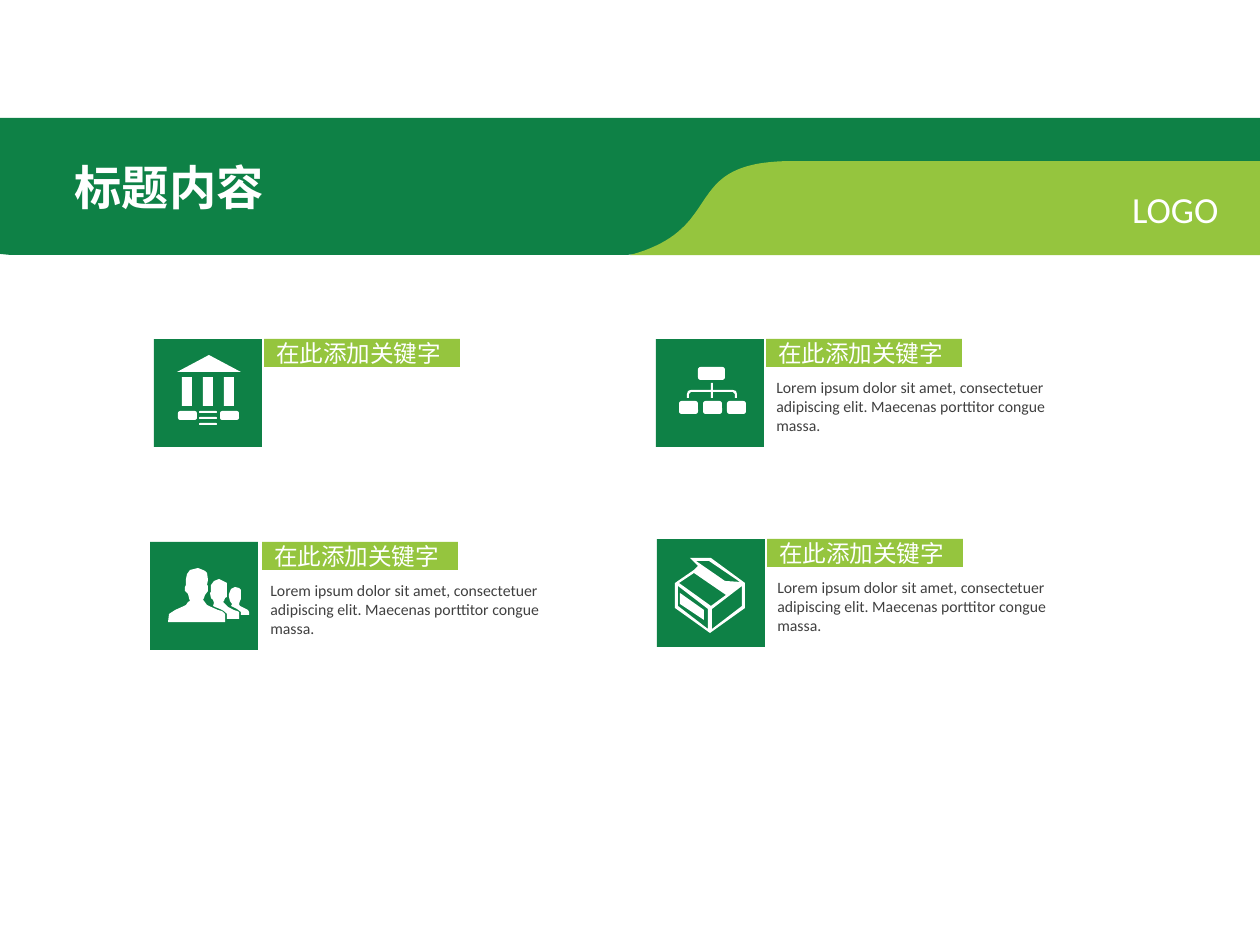
from pptx import Presentation
from pptx.dml.color import RGBColor
from pptx.enum.shapes import MSO_SHAPE as SHAPE
from pptx.enum.text import MSO_ANCHOR as ANCHOR, MSO_AUTO_SIZE as FIT, PP_ALIGN as ALIGN
from pptx.util import Pt

PX = 914400 / 126
FINE = 10
GREEN, LIME, WHITE, GREY = "0E8146", "95C53E", "FFFFFF", "404040"
KEYWORD = "在此添加关键字"
BLURB = ("Lorem ipsum dolor sit amet, consectetuer adipiscing elit. "
         "Maecenas porttitor congue massa.")
TILE = 108

PEOPLE = [
    [(218, 610), (209, 606), (207, 605), (204, 601), (203, 600), (204, 598),
     (205, 595), (208, 591), (208, 586), (207, 585), (208, 580), (207, 573),
     (205, 571), (203, 570), (198, 568), (190, 570), (187, 574), (186, 579),
     (186, 585), (185, 587), (185, 591), (188, 594), (189, 598), (190, 601),
     (188, 602), (186, 605), (184, 606), (175, 610), (169, 614), (168, 622),
     (225, 622), (225, 614), (222, 611)],
    [(234, 610), (228, 607), (227, 606), (224, 603), (223, 602), (224, 601),
     (225, 598), (227, 597), (227, 583), (225, 582), (223, 581), (219, 579),
     (214, 581), (211, 585), (211, 592), (210, 593), (211, 598), (213, 600),
     (214, 603), (213, 606), (215, 607), (220, 609), (224, 611), (227, 614),
     (227, 619), (239, 619), (239, 612), (237, 611)],
    [(248, 610), (246, 609), (242, 607), (240, 606), (239, 604), (240, 601),
     (241, 599), (241, 590), (239, 588), (235, 587), (231, 589), (229, 594),
     (229, 597), (230, 601), (232, 604), (231, 606), (233, 607), (237, 609),
     (241, 612), (241, 615), (249, 615), (249, 612)],
]
BOX = [
    [(745, 583), (711, 558), (690, 558), (698, 566), (694, 570), (675, 583),
     (675, 608), (710, 633), (745, 608)],
    [(696, 561), (709, 561), (740, 582), (725, 581)],
    [(708, 629), (678, 606), (678, 586), (708, 609)],
    [(711, 606), (679, 583), (694, 573), (726, 595)],
    [(742, 606), (712, 629), (712, 609), (742, 586)],
    [(704, 610), (680, 593), (680, 604), (704, 620)],
]


def emu(*lengths):
    return [round(length * PX) for length in lengths]


def color(value):
    return RGBColor.from_string(value)


def paint(shape, fill):
    shape.shadow.inherit = False
    shape.fill.solid()
    shape.fill.fore_color.rgb = color(fill)
    shape.line.fill.background()
    return shape


def add_block(shapes, place, fill, kind=SHAPE.RECTANGLE, rounding=None):
    block = paint(shapes.add_shape(kind, *emu(*place)), fill)
    if rounding is not None:
        block.adjustments[0] = rounding
    return block


def add_outline(shapes, contours, fill):
    contours = [[(x * FINE, y * FINE) for x, y in contour] for contour in contours]
    pen = shapes.build_freeform(*contours[0][0], scale=PX / FINE)
    pen.add_line_segments(contours[0][1:])
    for contour in contours[1:]:
        pen.move_to(*contour[0])
        pen.add_line_segments(contour[1:])
    return paint(pen.convert_to_shape(), fill)


def curve(start, bend_out, bend_in, end, steps=40):
    points = []
    for step in range(steps + 1):
        t = step / steps
        weights = ((1 - t) ** 3, 3 * t * (1 - t) ** 2, 3 * t * t * (1 - t), t ** 3)
        points.append(tuple(
            sum(w * p[axis] for w, p in zip(weights, (start, bend_out, bend_in, end)))
            for axis in (0, 1)))
    return points


def write(shape, text, size, ink, bold=False, align=ALIGN.LEFT, anchor=ANCHOR.TOP,
          wrap=True, fit=FIT.NONE):
    frame = shape.text_frame
    frame.text = text
    frame.word_wrap = wrap
    frame.auto_size = fit
    frame.vertical_anchor = anchor
    line = frame.paragraphs[0]
    line.alignment = align
    font = line.runs[0].font
    font.name, font.size, font.bold = "Calibri", Pt(size), bold
    font.color.rgb = color(ink)


def add_header(slide):
    dark_edge = curve((765, 171), (688, 200), (727, 255), (619, 255))
    lime_edge = curve((630, 255), (730, 228), (677, 161), (793, 161))
    ribbons = [
        add_outline(slide.shapes, [[(0, 118), (1260, 118), (1260, 165), (781, 165),
                                    *dark_edge, (11, 255), (0, 254)]], GREEN),
        add_outline(slide.shapes, [[(1260, 161), (1260, 255), *lime_edge]], LIME),
    ]
    title = slide.shapes.title
    for ribbon in ribbons:
        title.element.addprevious(ribbon.element)
    title.left, title.top, title.width, title.height = emu(62, 152, 217, 71)
    write(title, "标题内容", 27, WHITE, bold=True, wrap=False, fit=FIT.SHAPE_TO_FIT_TEXT)
    logo = slide.shapes.add_textbox(*emu(1099, 181, 132, 57))
    write(logo, "LOGO", 21, WHITE, align=ALIGN.RIGHT, wrap=False,
          fit=FIT.SHAPE_TO_FIT_TEXT)


def add_card(shapes, left, top, label_left, blurb, draw_icon):
    add_block(shapes, (left, top, TILE, TILE), GREEN)
    draw_icon(shapes)
    label = add_block(shapes, (label_left, top, 196, 28), LIME)
    write(label, KEYWORD, 13.5, WHITE, anchor=ANCHOR.MIDDLE)
    if blurb:
        body = shapes.add_textbox(*emu(left + TILE, top + 33, 328, 71))
        write(body, blurb, 9, GREY, fit=FIT.SHAPE_TO_FIT_TEXT)


def draw_bank(shapes):
    bank = shapes.add_group_shape().shapes
    add_outline(bank, [[(177, 372), (241, 372), (209, 355)]], WHITE)
    for left in (182, 203, 224):
        add_block(bank, (left, 377, 10, 29), WHITE)
    for left in (178, 220):
        add_block(bank, (left, 411, 19, 9), WHITE, SHAPE.ROUNDED_RECTANGLE, 0.25)
    for row in range(3):
        add_block(bank, (199, 411 + 6 * row, 18, 2), WHITE, SHAPE.ROUNDED_RECTANGLE, 0.5)


def draw_org_chart(shapes):
    chart = shapes.add_group_shape().shapes
    for place in ((698, 367, 27, 13), *((679 + 24 * i, 401, 19, 13) for i in range(3))):
        add_block(chart, place, WHITE, SHAPE.ROUNDED_RECTANGLE, 0.2)
    right = [(713, 383), (713, 390), (733, 390), (736, 391), (737, 394), (737, 398),
             (735, 398), (735, 394), (733, 392), (713, 392), (713, 398)]
    left = [(1424 - x, y) for x, y in reversed(right)]
    add_outline(chart, [right + left], WHITE)


def draw_people(shapes):
    add_outline(shapes, PEOPLE, WHITE)


def draw_box(shapes):
    add_outline(shapes, BOX, WHITE)


def main():
    deck = Presentation()
    deck.slide_width, deck.slide_height = emu(1260, 945)
    slide = deck.slides.add_slide(deck.slide_layouts[5])
    add_header(slide)
    for card in (
        (154, 339, 264, "", draw_bank),
        (656, 339, 766, BLURB, draw_org_chart),
        (150, 542, 262, BLURB, draw_people),
        (657, 539, 767, BLURB, draw_box),
    ):
        add_card(slide.shapes, *card)
    deck.save("out.pptx")


if __name__ == "__main__":
    main()
